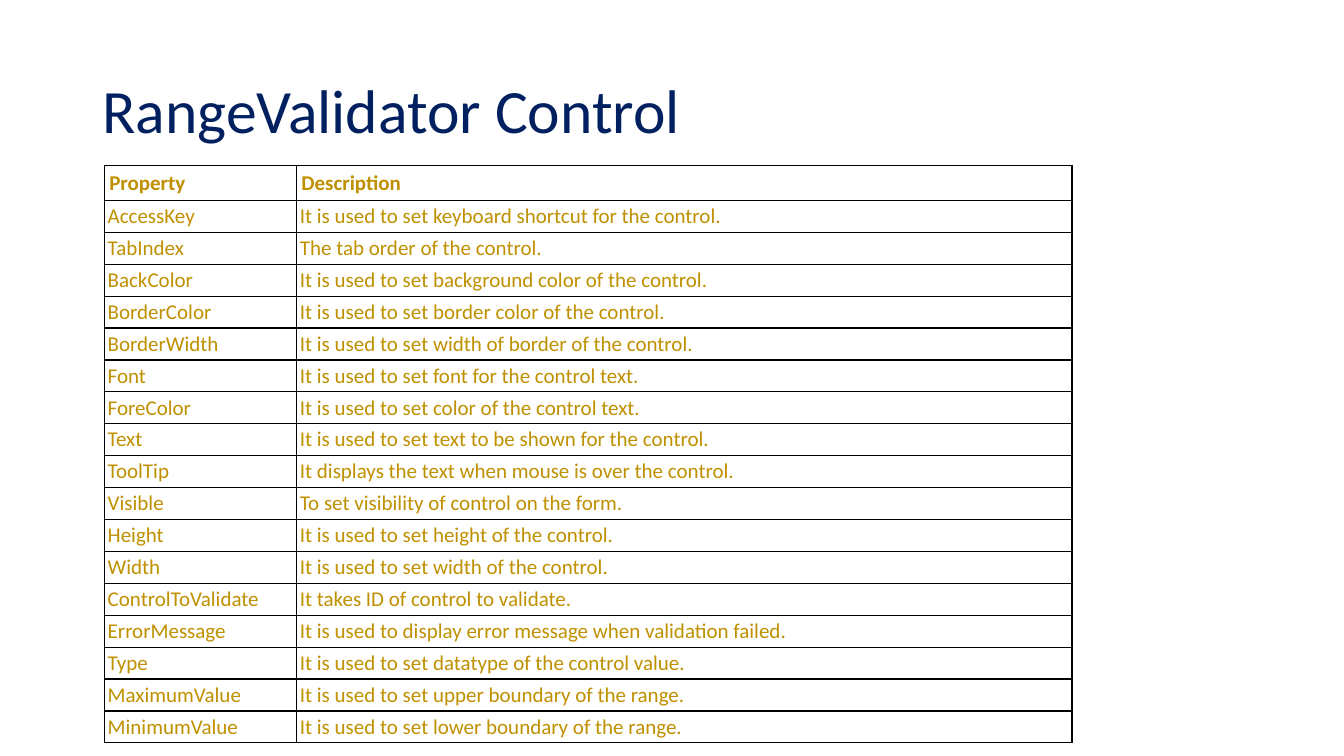
from lxml import etree
from pptx import Presentation
from pptx import util as u
from pptx.dml import color
from pptx.enum import text
from pptx.oxml import ns

Pt = u.Pt

PROPERTIES = [
    ("Property", "Description"),
    ("AccessKey", "It is used to set keyboard shortcut for the control."),
    ("TabIndex", "The tab order of the control."),
    ("BackColor", "It is used to set background color of the control."),
    ("BorderColor", "It is used to set border color of the control."),
    ("BorderWidth", "It is used to set width of border of the control."),
    ("Font", "It is used to set font for the control text."),
    ("ForeColor", "It is used to set color of the control text."),
    ("Text", "It is used to set text to be shown for the control."),
    ("ToolTip", "It displays the text when mouse is over the control."),
    ("Visible", "To set visibility of control on the form."),
    ("Height", "It is used to set height of the control."),
    ("Width", "It is used to set width of the control."),
    ("ControlToValidate", "It takes ID of control to validate."),
    ("ErrorMessage", "It is used to display error message when validation failed."),
    ("Type", "It is used to set datatype of the control value."),
    ("MaximumValue", "It is used to set upper boundary of the range."),
    ("MinimumValue", "It is used to set lower boundary of the range."),
]


def rgb(code):
    """Return the colour for a hex string."""
    return color.RGBColor.from_string(code)


class Painter:
    """Holds the style and the current slide."""

    font = "Calibri"
    navy, gold, black = "002060", "BF9000", "000000"

    def __init__(self, page):
        """Keep the slide to draw on."""
        self.page = page

    def style(self, para, size, code, bold=False):
        """Format every run of a paragraph."""
        for span in para.runs:
            span.font.name = self.font
            span.font.size = Pt(size)
            span.font.bold = bold
            span.font.color.rgb = rgb(code)

    def title(self, words, left, top, width, height):
        """Add the slide title."""
        box = self.page.shapes.add_textbox(Pt(left), Pt(top), Pt(width), Pt(height))
        frame = box.text_frame
        frame.word_wrap = True
        frame.vertical_anchor = text.MSO_ANCHOR.MIDDLE
        frame.text = words
        frame.paragraphs[0].line_spacing = 0.9
        self.style(frame.paragraphs[0], 44, self.navy)

    def borders(self, cell, width=1):
        """Draw a solid line on all four sides of a cell."""
        properties = cell._tc.get_or_add_tcPr()
        for index, side in enumerate(("lnL", "lnR", "lnT", "lnB")):
            line = etree.Element(ns.qn(f"a:{side}"), w=str(Pt(width)))
            fill = etree.SubElement(line, ns.qn("a:solidFill"))
            etree.SubElement(fill, ns.qn("a:srgbClr"), val=self.black)
            properties.insert(index, line)

    def cell(self, cell, words, header):
        """Fill one table cell."""
        inset = Pt(3.35 if header else 2.25)
        cell.margin_left = cell.margin_right = inset
        cell.margin_top = cell.margin_bottom = inset
        cell.fill.background()
        cell.text_frame.text = words
        para = cell.text_frame.paragraphs[0]
        if not header:
            para.alignment = text.PP_ALIGN.JUSTIFY
        self.style(para, 15, self.gold, bold=header)
        self.borders(cell)

    def table(self, rows, left, top, widths, header_height, row_height):
        """Add a bordered table whose first row is the header."""
        heights = [header_height] + [row_height] * (len(rows) - 1)
        table = self.page.shapes.add_table(
            len(rows), len(widths), Pt(left), Pt(top), Pt(sum(widths)), Pt(sum(heights))
        ).table
        table.horz_banding = False
        for column, width in zip(table.columns, widths):
            column.width = Pt(width)
        for index, (row, height, entries) in enumerate(zip(table.rows, heights, rows)):
            row.height = Pt(height)
            for cell, words in zip(row.cells, entries):
                self.cell(cell, words, header=index == 0)


def main():
    """Build and save the deck."""
    deck = Presentation()
    deck.slide_width, deck.slide_height = Pt(960), Pt(540)
    painter = Painter(deck.slides.add_slide(deck.slide_layouts[6]))
    painter.title("RangeValidator Control", 66, 28.75, 828, 104.4)
    painter.table(PROPERTIES, 74.7, 118.2, (137.3, 553.7), 25, 22.8)
    deck.save("out.pptx")


main()
